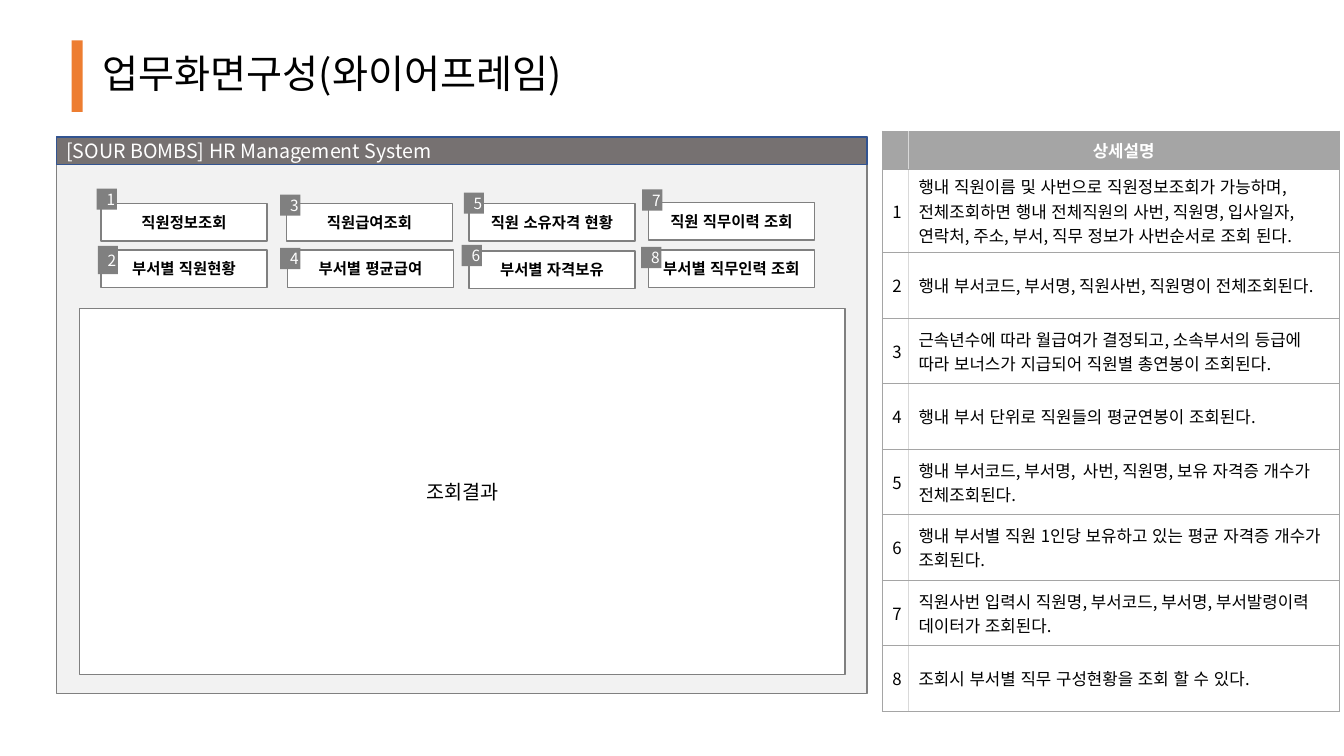
import pptx
import pptx.dml.color
import pptx.enum.shapes
import pptx.enum.text
import pptx.oxml
import pptx.oxml.ns
import pptx.util
from lxml import etree

PX = 9144  # 100 px to the inch
FONT = "Noto Sans CJK KR"
COLORS = {
    "white": "FFFFFF", "black": "000000", "panel": "F2F2F2", "gray": "808080",
    "bar": "767171", "bar_line": "325491", "accent": "ED7D31",
    "grid": "A5A5A5", "divider": "D9D9D9",
}
ALIGN = pptx.enum.text.PP_ALIGN
MIDDLE = pptx.enum.text.MSO_ANCHOR.MIDDLE

BUTTON_SIZE = (165, 37)
# number, label, button left and top, badge left, top and height
MENU = [
    (1, "직원정보조회", 100, 202, 96, 187, 21),
    (2, "부서별 직원현황", 100, 248, 97, 244, 28),
    (3, "직원급여조회", 284, 202, 278, 193, 21),
    (4, "부서별 평균급여", 285, 248, 278, 246, 21),
    (5, "직원 소유자격 현황", 465, 202, 460, 191, 21),
    (6, "부서별 자격보유", 465, 249, 458, 243, 21),
    (7, "직원 직무이력 조회", 643, 201, 637, 188, 21),
    (8, "부서별 직무인력 조회", 643, 248, 636, 245, 21),
]
DETAILS = [
    "행내 직원이름 및 사번으로 직원정보조회가 가능하며,\n"
    "전체조회하면 행내 전체직원의 사번, 직원명, 입사일자, 연락처, 주소, 부서, "
    "직무 정보가 사번순서로 조회 된다.",
    "행내 부서코드, 부서명, 직원사번, 직원명이 전체조회된다.",
    "근속년수에 따라 월급여가 결정되고, 소속부서의 등급에 따라 보너스가 지급되어 "
    "직원별 총연봉이 조회된다.",
    "행내 부서 단위로 직원들의 평균연봉이 조회된다.",
    "행내 부서코드, 부서명,  사번, 직원명, 보유 자격증 개수가 전체조회된다.",
    "행내 부서별 직원 1인당 보유하고 있는 평균 자격증 개수가 조회된다.",
    "직원사번 입력시 직원명, 부서코드, 부서명, 부서발령이력 데이터가 조회된다.",
    "조회시 부서별 직무 구성현황을 조회 할 수 있다.",
]


def rgb(name):
    return pptx.dml.color.RGBColor.from_string(COLORS[name])


def write(frame, text, size=12, color="black", bold=False, align=ALIGN.LEFT, spacing=None):
    """Fill a text frame, one paragraph per line of text."""
    for index, line in enumerate(text.split("\n")):
        paragraph = frame.add_paragraph() if index else frame.paragraphs[0]
        paragraph.alignment = align
        paragraph.line_spacing = spacing
        run = paragraph.add_run()
        run.text = line
        run.font.size = pptx.util.Pt(size)
        run.font.bold = bold
        run.font.color.rgb = rgb(color)
        run.font.name = FONT
        properties = run._r.get_or_add_rPr()
        properties.set("lang", "ko-KR")
        east_asian = etree.SubElement(properties, pptx.oxml.ns.qn("a:ea"))
        east_asian.set("typeface", FONT)


class Wireframe:
    def __init__(self, slide):
        self.slide = slide

    def box(self, left, top, width, height, fill, line=None, text=None, **style):
        rect = self.slide.shapes.add_shape(
            pptx.enum.shapes.MSO_SHAPE.RECTANGLE,
            left * PX, top * PX, width * PX, height * PX)
        rect.shadow.inherit = False
        rect.fill.solid()
        rect.fill.fore_color.rgb = rgb(fill)
        if line:
            rect.line.color.rgb = rgb(line)
            rect.line.width = pptx.util.Pt(1)
        else:
            rect.line.fill.background()
        if text:
            rect.text_frame.vertical_anchor = MIDDLE
            write(rect.text_frame, text, **style)

    def label(self, left, top, width, height, text, **style):
        frame = self.slide.shapes.add_textbox(
            left * PX, top * PX, width * PX, height * PX).text_frame
        frame.word_wrap = True
        frame.vertical_anchor = MIDDLE
        write(frame, text, **style)

    def cell(self, cell, text, fill, inner, **style):
        """Format a cell whose inner side (L or R) faces the column divider."""
        properties = cell._tc.get_or_add_tcPr()
        for side in "LRTB":
            color, width = ("divider", 0.25) if side == inner else ("grid", 0.5)
            properties.append(pptx.oxml.parse_xml(
                f'<a:ln{side} {pptx.oxml.ns.nsdecls("a")} w="{pptx.util.Pt(width)}">'
                f'<a:solidFill><a:srgbClr val="{COLORS[color]}"/></a:solidFill></a:ln{side}>'))
        cell.fill.solid()
        cell.fill.fore_color.rgb = rgb(fill)
        cell.vertical_anchor = MIDDLE
        write(cell.text_frame, text, **style)

    def details(self, left, top, widths, header_height, row_height, title, rows):
        table = self.slide.shapes.add_table(
            len(rows) + 1, len(widths), left * PX, top * PX, sum(widths) * PX,
            (header_height + row_height * len(rows)) * PX).table
        for column, width in zip(table.columns, widths):
            column.width = width * PX
        for index, row in enumerate(table.rows):
            row.height = (row_height if index else header_height) * PX
        self.cell(table.cell(0, 0), "", "grid", "R")
        self.cell(table.cell(0, 1), title, "grid", "L",
                  color="white", bold=True, align=ALIGN.CENTER)
        for number, text in enumerate(rows, 1):
            self.cell(table.cell(number, 0), str(number), "white", "R", align=ALIGN.CENTER)
            self.cell(table.cell(number, 1), text, "white", "L")


def main():
    deck = pptx.Presentation()
    deck.slide_width = pptx.util.Inches(13.33)
    deck.slide_height = pptx.util.Inches(7.5)
    page = Wireframe(deck.slides.add_slide(deck.slide_layouts[6]))

    # Description table
    page.details(875, 130, (26, 427), 31, 65, "상세설명", DETAILS)

    # Screen panel with menu buttons and result area
    page.box(56, 136, 804, 552, "panel", "gray")
    for _, name, left, top, *_ in MENU:
        page.box(left, top, *BUTTON_SIZE, "white", "gray", name,
                 size=11, bold=True, align=ALIGN.CENTER)
    page.box(79, 306, 759, 363, "white", "gray", "조회결과", size=14, align=ALIGN.CENTER)

    # Number badges
    for number, _, _, _, left, top, height in MENU:
        page.box(left, top, 20, height, "gray", text=str(number),
                 size=11, color="white", align=ALIGN.CENTER)

    # Slide title and screen title bar
    page.box(71, 40, 11, 71, "accent")
    page.label(92, 40, 1150, 71, "업무화면구성(와이어프레임)", size=28, spacing=0.9)
    page.box(56, 136, 804, 27, "bar", "bar_line", "[SOUR BOMBS] HR Management System",
             size=14, color="white")

    deck.save("out.pptx")


if __name__ == "__main__":
    main()
